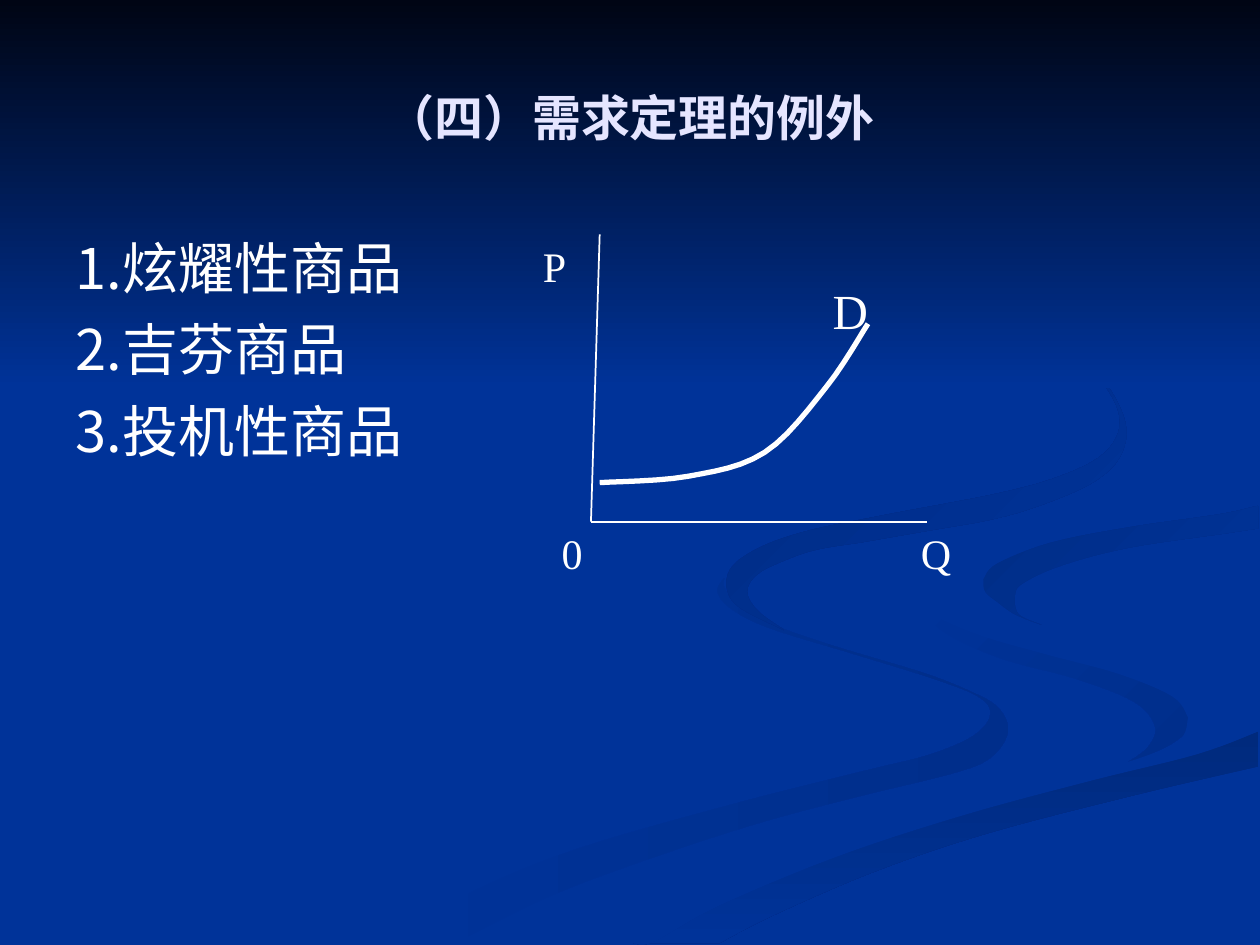
from lxml.etree import SubElement
from pptx import Presentation
from pptx.dml.color import RGBColor
from pptx.enum.shapes import MSO_CONNECTOR, MSO_SHAPE
from pptx.enum.text import MSO_ANCHOR as ANCHOR, MSO_AUTO_SIZE as FIT, PP_ALIGN as ALIGN
from pptx.oxml.ns import qn
from pptx.util import Pt

WIDTH, HEIGHT = 720, 540
BLUE, WHITE, LAVENDER = "003399", "FFFFFF", "E5E5FF"
SERIF, SANS = "Times New Roman", "Noto Sans CJK SC"

TITLE = "（四）需求定理的例外"
GOODS = ["1.炫耀性商品", "2.吉芬商品", "3.投机性商品"]
TITLE_BOX = (36, 21.6, 648, 90)
BODY_BOX = (36, 126, 648, 356.4)

ORIGIN = (337.7, 298.1)
AXIS_ENDS = [(342.7, 133.9), (529.9, 298.1)]
DEMAND = [(342.7, 275.8), (393.1, 272.2), (437, 258.5), (472.3, 221), (496, 185)]
LABELS = [
    ("Q", 24, (519.1, 298.1, 31.7, 36), False),
    ("0", 24, (313.9, 298.1, 27.4, 36), False),
    ("P", 24, (303.1, 133.9, 33.8, 36), True),
    ("D", 28, (468.7, 157, 34.6, 41), False),
]

RIDGE = [(679, 410), (670, 398), (639, 385), (598, 374), (557, 362), (528, 348), (521, 334)]
BANK = [(719, 418), (684, 431), (624, 446), (550, 466), (477, 490), (410, 518),
        (374, 538), (362, 539)]
BEND = [(562, 331), (570, 322), (601, 310), (647, 301), (696, 294), (719, 289)]
RIBBONS = [
    ((BLUE, "002E8B", 0), [
        [(414, 330), (410, 338), (418, 348), (440, 359), (489, 374), (534, 388), (559, 398),
         (566, 408), (557, 420), (532, 431), (492, 441), (417, 460), (330, 485), (271, 509),
         (216, 539)],
        [(260, 539), (310, 514), (359, 495), (428, 472), (487, 456), (544, 442), (566, 433),
         (576, 418), (570, 404), (552, 394), (526, 384), (476, 369), (442, 357), (423, 346),
         (414, 336), (414, 330)]]),
    ((BLUE, "002E8B", 45), [
        RIDGE,
        [(521, 338), (528, 351), (544, 364), (574, 377), (615, 388), (648, 401), (660, 415),
         (656, 427), (644, 436)],
        [(644, 436), (666, 427), (678, 418), (679, 410)]]),
    (("002A7D", BLUE, 90), [
        BANK,
        [(411, 539), (442, 523), (500, 498), (565, 476), (650, 454), (719, 438)]]),
    ((BLUE,), [
        RIDGE[::-1],
        [(679, 410), (674, 423), (649, 434), (607, 445), (535, 463), (446, 492), (343, 539)],
        BANK[::-1],
        [(719, 387), (678, 379), (624, 366), (588, 354), (566, 341), (562, 331)],
        BEND,
        [(719, 279), (662, 289), (598, 299), (554, 307), (527, 321), (521, 334)]]),
    (("002D86", BLUE, 45), [
        [(562, 331), (563, 338), (570, 344), (580, 351), (595, 357)],
        [(595, 357), (582, 351), (580, 340), (585, 333), (607, 323), (645, 313), (699, 305),
         (719, 302)],
        BEND[::-1]]),
    (("002B82", BLUE, 45), [
        [(492, 310), (532, 303), (566, 297), (594, 289), (624, 276), (640, 261), (643, 241),
         (629, 215), (607, 198), (575, 180), (549, 168)],
        [(549, 168), (580, 183), (609, 201), (631, 220), (640, 241), (631, 259), (606, 272),
         (570, 282), (507, 294), (459, 304), (430, 315), (416, 328), (420, 345), (448, 360)],
        [(448, 360), (433, 349), (427, 338), (433, 328), (449, 320), (467, 314), (492, 310)]]),
]
HEADER = ("000514", BLUE, 90)


def rgb(value):
    """Turn a hex string into a colour."""
    return RGBColor.from_string(value)


def smooth(knots, steps=6):
    """Return points on a smooth curve through the knots."""
    ends = [knots[0], *knots, knots[-1]]
    points = [knots[0]]
    for a, b, c, d in zip(ends, ends[1:], ends[2:], ends[3:]):
        for i in range(1, steps + 1):
            t = i / steps
            points.append(tuple(
                q + t * (r - p + t * (2 * p - 5 * q + 4 * r - u + t * (3 * q - p - 3 * r + u))) / 2
                for p, q, r, u in zip(a, b, c, d)))
    return points


def draw_path(s, points, close):
    """Add a freeform through the points."""
    start, *rest = [(Pt(x), Pt(y)) for x, y in points]
    builder = s.shapes.build_freeform(*start)
    builder.add_line_segments(rest, close=close)
    sp = builder.convert_to_shape()
    sp.shadow.inherit = False
    return sp


def paint(sp, first, last=None, angle=0):
    """Fill a borderless shape with one colour or a gradient."""
    sp.line.fill.background()
    if last is None:
        sp.fill.solid()
        sp.fill.fore_color.rgb = rgb(first)
        return
    sp.fill.gradient()
    sp.fill.gradient_angle = -angle % 360
    for stop, colour, position in zip(sp.fill.gradient_stops, (first, last), (0, 1)):
        stop.color.rgb = rgb(colour)
        stop.position = position


def set_line(sp, width):
    """Give a shape a white line."""
    sp.line.color.rgb = rgb(WHITE)
    sp.line.width = Pt(width)


def add_run(p, text, size, font, colour=WHITE, bold=False):
    """Add a formatted run to a paragraph."""
    r = p.add_run()
    r.text = text
    r.font.size, r.font.name, r.font.bold = Pt(size), font, bold
    r.font.color.rgb = rgb(colour)
    SubElement(r.font._element, qn("a:ea"), typeface=SANS)


def place(sp, box):
    """Move a placeholder to a box and bring it to the front."""
    sp.left, sp.top, sp.width, sp.height = map(Pt, box)
    sp.element.getparent().append(sp.element)
    sp.text_frame.auto_size = FIT.NONE
    return sp.text_frame


def add_background(s):
    """Draw the blue ground, the ribbons and the dark header."""
    s.background.fill.solid()
    s.background.fill.fore_color.rgb = rgb(BLUE)
    for fill, edges in RIBBONS:
        paint(draw_path(s, [pt for edge in edges for pt in smooth(edge)], True), *fill)
    sp = s.shapes.add_shape(MSO_SHAPE.RECTANGLE, 0, 0, Pt(WIDTH), Pt(221.8))
    sp.shadow.inherit = False
    paint(sp, *HEADER)


def add_text(s):
    """Fill the title and the list."""
    tf = place(s.shapes.title, TITLE_BOX)
    tf.vertical_anchor = ANCHOR.MIDDLE
    tf.paragraphs[0].alignment = ALIGN.CENTER
    add_run(tf.paragraphs[0], TITLE, 28, SERIF, LAVENDER, True)
    tf = place(s.placeholders[1], BODY_BOX)
    tf.margin_top = Pt(7)
    for i, text in enumerate(GOODS):
        p = tf.add_paragraph() if i else tf.paragraphs[0]
        pPr = p._p.get_or_add_pPr()
        pPr.set("marL", str(Pt(27)))
        pPr.set("indent", str(-Pt(27)))
        SubElement(pPr, qn("a:buNone"))
        p.line_spacing = Pt(38.6)
        p.space_before = Pt(8 if i else 0)
        add_run(p, text, 32, SANS)


def add_diagram(s):
    """Draw the axes, the demand curve and their labels."""
    for end in AXIS_ENDS:
        line = s.shapes.add_connector(MSO_CONNECTOR.STRAIGHT, *map(Pt, ORIGIN + end))
        set_line(line, 1)
        SubElement(line.element.spPr, qn("a:effectLst"))
    curve = draw_path(s, smooth(DEMAND), False)
    curve.fill.background()
    set_line(curve, 3)
    for text, size, box, wrap in LABELS:
        tf = s.shapes.add_textbox(*map(Pt, box)).text_frame
        tf.word_wrap, tf.auto_size = wrap, FIT.SHAPE_TO_FIT_TEXT
        add_run(tf.paragraphs[0], text, size, SERIF)


def main():
    """Build the slide and save it."""
    prs = Presentation()
    prs.slide_width, prs.slide_height = Pt(WIDTH), Pt(HEIGHT)
    s = prs.slides.add_slide(prs.slide_layouts[1])
    add_background(s)
    add_text(s)
    add_diagram(s)
    prs.save("out.pptx")


if __name__ == "__main__":
    main()
